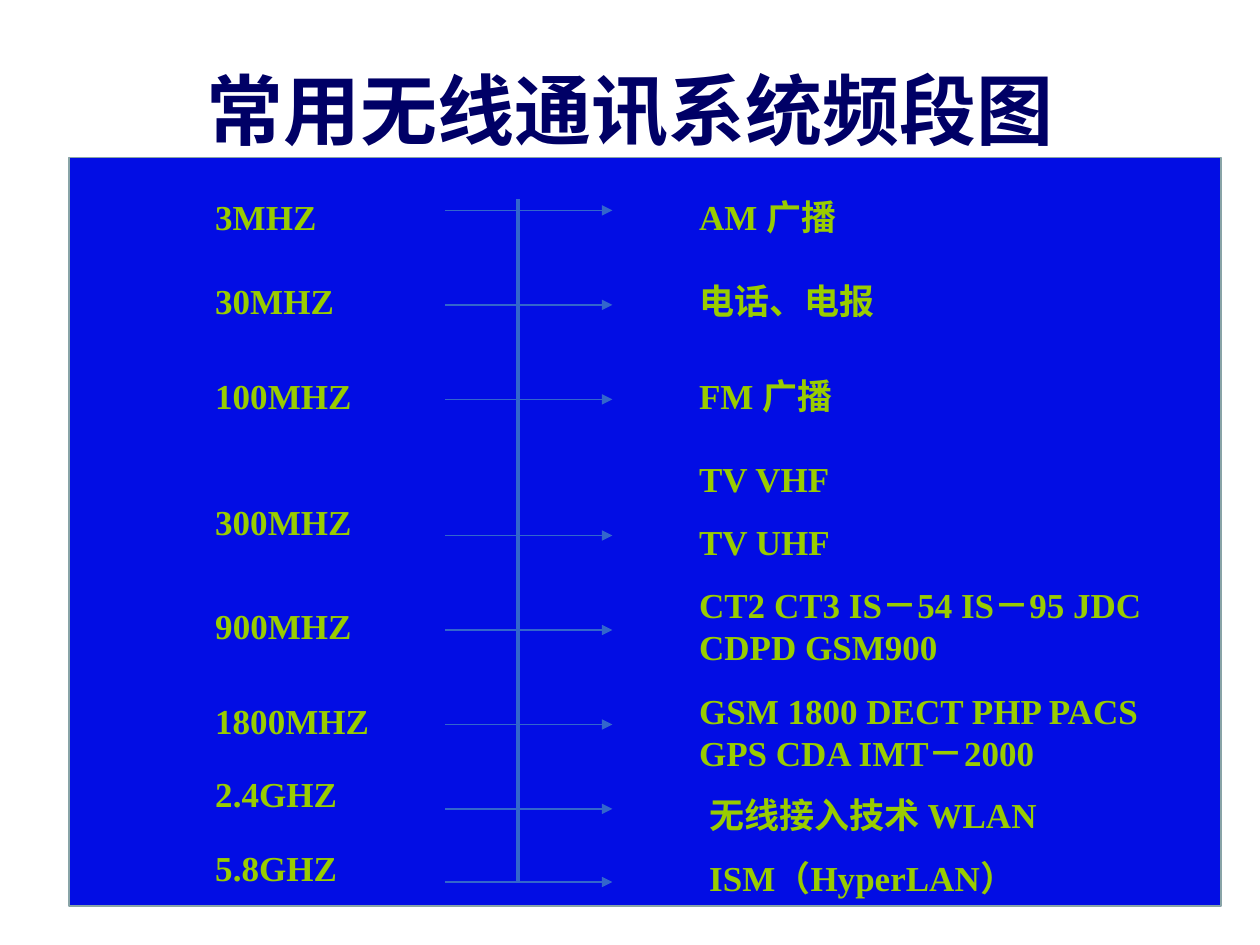
import pptx
import pptx.util
import pptx.dml.color
import pptx.enum.shapes
import pptx.enum.text
import pptx.oxml.ns
import lxml.etree

Inches = pptx.util.Inches
Pt = pptx.util.Pt

# Content
TITLE = "常用无线通讯系统频段图"
# text, top, width
FREQUENCIES = [
    ("3MHZ", 1.5, 1.17),
    ("30MHZ", 2.17, 1.17),
    ("100MHZ", 2.92, 1.33),
    ("300MHZ", 3.92, 1.33),
    ("900MHZ", 4.75, 1.42),
    ("1800MHZ", 5.5, 1.5),
    ("2.4GHZ", 6.08, 1.25),
    ("5.8GHZ", 6.67, 1.25),
]
# text, left, top, width, height
SYSTEMS = [
    ("AM 广播", 5.45, 1.5, 1.67, 0.44),
    ("电话、电报", 5.45, 2.17, 1.67, 0.44),
    ("FM 广播", 5.45, 2.92, 1.67, 0.44),
    ("TV VHF", 5.45, 3.58, 1.67, 0.44),
    ("TV UHF", 5.45, 4.08, 1.67, 0.44),
    ("CT2 CT3 IS－54 IS－95 JDC CDPD GSM900", 5.45, 4.58, 4.17, 0.77),
    ("GSM 1800 DECT PHP PACS GPS CDA IMT－2000", 5.45, 5.42, 4.17, 0.77),
    ("无线接入技术 WLAN", 5.53, 6.25, 4.08, 0.44),
    ("ISM（HyperLAN）", 5.53, 6.75, 4.08, 0.44),
]
ARROW_HEIGHTS = [1.67, 2.42, 3.17, 4.25, 5, 5.75, 6.42, 7]

# Format
COLORS = {"panel": "020DE4", "border": "89A4A7", "title": "000066",
          "label": "99CC00", "line": "3366CC"}
TITLE_FONT = {"name": "Arial", "size": Pt(44), "bold": True}
LABEL_FONT = {"name": "Times New Roman", "size": Pt(20), "bold": True}
FREQUENCY_LEFT, LABEL_HEIGHT = 1.61, 0.44
ARROW_LEFT, ARROW_RIGHT = 3.53, 4.86
AXIS_X, AXIS_TOP, AXIS_BOTTOM = 4.11, 1.58, 7


def color(name):
    return pptx.dml.color.RGBColor.from_string(COLORS[name])


def format_font(font, values, color_name):
    for attribute, value in values.items():
        setattr(font, attribute, value)
    font.color.rgb = color(color_name)


def add_label(slide, text, left, top, width, height):
    box = slide.shapes.add_textbox(*map(Inches, (left, top, width, height)))
    frame = box.text_frame
    frame.word_wrap = True
    frame.auto_size = pptx.enum.text.MSO_AUTO_SIZE.SHAPE_TO_FIT_TEXT
    paragraph = frame.paragraphs[0]
    paragraph.text = text
    format_font(paragraph.runs[0].font, LABEL_FONT, "label")


def add_line(slide, start, end, width, arrow=False):
    connector = slide.shapes.add_connector(
        pptx.enum.shapes.MSO_CONNECTOR.STRAIGHT, *map(Inches, start + end))
    connector.line.color.rgb = color("line")
    connector.line.width = Pt(width)
    if arrow:
        lxml.etree.SubElement(connector.line._get_or_add_ln(),
                              pptx.oxml.ns.qn("a:tailEnd"), type="triangle")
    lxml.etree.SubElement(connector._element.spPr, pptx.oxml.ns.qn("a:effectLst"))


def main():
    presentation = pptx.Presentation()
    presentation.slide_width = Inches(10)
    presentation.slide_height = Inches(7.5)
    slide = presentation.slides.add_slide(presentation.slide_layouts[5])

    # Blue panel
    panel = slide.shapes.add_shape(pptx.enum.shapes.MSO_SHAPE.RECTANGLE,
                                   *map(Inches, (0.55, 1.25, 9.14, 5.94)))
    panel.shadow.inherit = False
    panel.fill.solid()
    panel.fill.fore_color.rgb = color("panel")
    panel.line.color.rgb = color("border")
    panel.line.width = Pt(1)

    # Title
    title = slide.shapes.title
    title.left, title.top, title.width, title.height = map(
        Inches, (0.59, 0.28, 8.83, 1.17))
    title.text_frame.vertical_anchor = pptx.enum.text.MSO_ANCHOR.MIDDLE
    paragraph = title.text_frame.paragraphs[0]
    paragraph.text = TITLE
    paragraph.alignment = pptx.enum.text.PP_ALIGN.CENTER
    format_font(paragraph.runs[0].font, TITLE_FONT, "title")

    # Frequencies and the systems that use them
    for text, top, width in FREQUENCIES:
        add_label(slide, text, FREQUENCY_LEFT, top, width, LABEL_HEIGHT)
    for system in SYSTEMS:
        add_label(slide, *system)

    # Frequency axis and arrows
    add_line(slide, (AXIS_X, AXIS_TOP), (AXIS_X, AXIS_BOTTOM), 2.25)
    for height in ARROW_HEIGHTS:
        add_line(slide, (ARROW_LEFT, height), (ARROW_RIGHT, height), 1, arrow=True)

    presentation.save("out.pptx")


if __name__ == "__main__":
    main()
